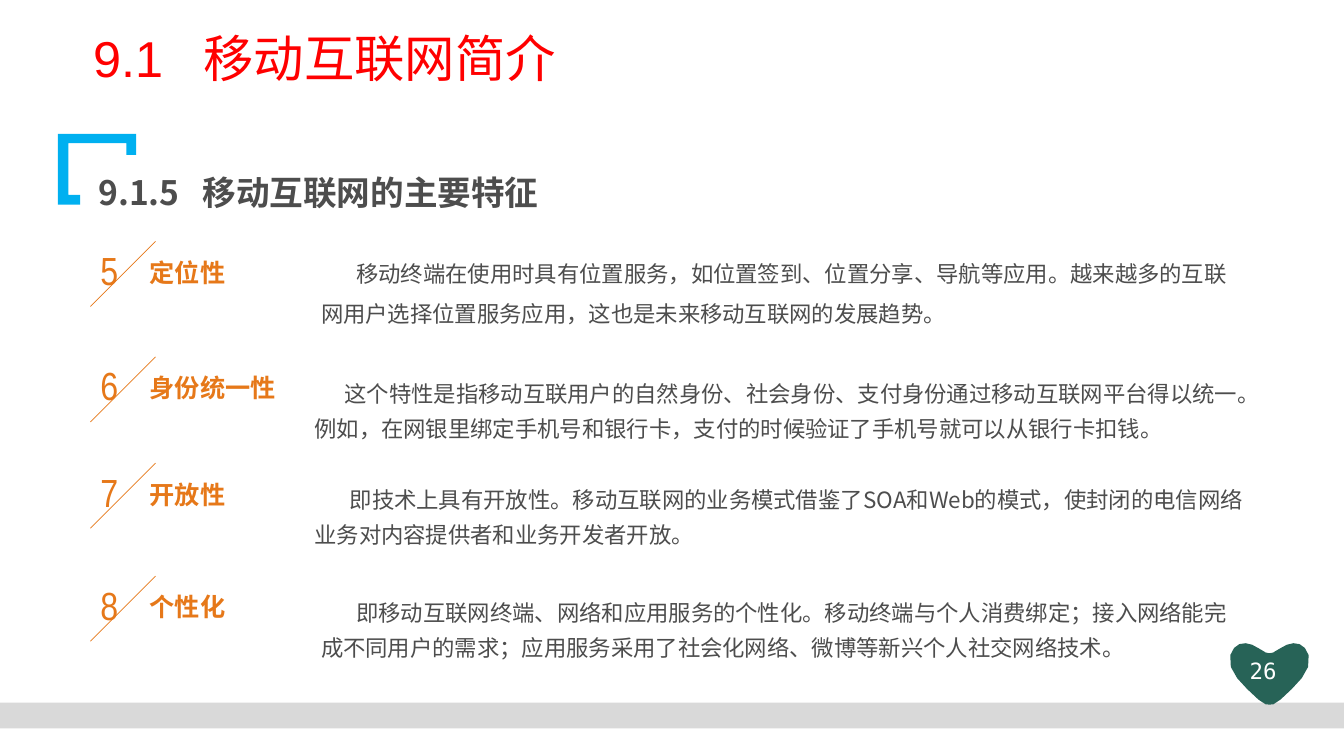
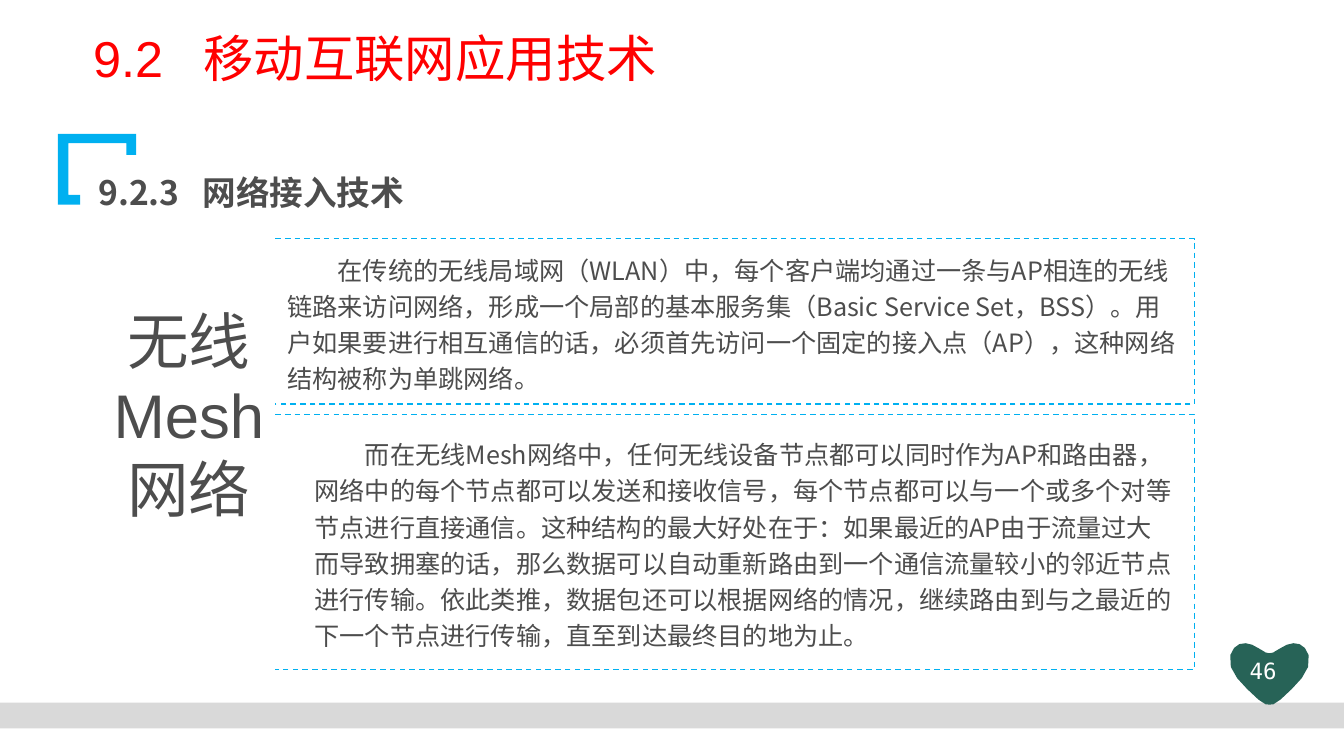
import lxml.etree
import pptx
import pptx.dml.color
import pptx.enum.dml
import pptx.enum.shapes
import pptx.enum.text
import pptx.oxml.ns
import pptx.util

Pt = pptx.util.Pt
qn = pptx.oxml.ns.qn
ALIGN = pptx.enum.text.PP_ALIGN
ANCHOR = pptx.enum.text.MSO_ANCHOR
COLORS = {"title": "FF0000", "text": "4D4D4D", "accent": "E67819", "sky": "00B0F0",
          "band": "D9D9D9", "heart": "276357", "white": "FFFFFF"}
SANS, HAN, NARROW, MONO = "Arial", "Noto Sans CJK SC", "Arial Narrow", "DejaVu Sans Mono"
SLIDE_W, SLIDE_H = 960, 540
INSETS = (7.2, 3.6, 7.2, 3.6)

BRACKET = [(0, 0), (56, 0), (56, 15), (49, 15), (49, 6.5), (7.5, 6.5),
           (7.5, 43.5), (16, 43.5), (16, 50.5), (0, 50.5)]
HEART_CURVES = [
    (2, [(0, 9.4), (2.2, 9.4), (3.6, 8.6), (4.3, 7.9)]),
    (1, [(4.3, 7.9), (4.3, 7.9), (4.3, 7.9), (7.9, 5.8)]),
    (5, [(7.9, 5.8), (15.1, 0.7), (24.5, 0), (28, 10.8)]),
    (4, [(28, 10.8), (30.9, 22.3), (18.7, 32.4), (7.9, 42.5)]),
    (1, [(7.9, 42.5), (4.7, 44.6), (4.7, 44.6), (4.7, 44.6)]),
    (2, [(4.7, 44.6), (3.6, 46), (2.2, 46.1), (0, 46.1)]),
]

FEATURES = [
    dict(number="5", name="定位性", top=172.4, left=222.2, drop=0, spacing=1.5, indent=25.2,
         text="移动终端在使用时具有位置服务，如位置签到、位置分享、导航等应用。越来越多的互联网用户选择位置服务应用，这也是未来移动互联网的发展趋势。"),
    dict(number="6", name="身份统一性", top=254.9, left=217.5, drop=7.4, spacing=1.3, indent=21.5,
         text="这个特性是指移动互联用户的自然身份、社会身份、支付身份通过移动互联网平台得以统一。例如，在网银里绑定手机号和银行卡，支付的时候验证了手机号就可以从银行卡扣钱。"),
    dict(number="7", name="开放性", top=330.8, left=217.5, drop=7.4, spacing=1.3, indent=25.2,
         text="即技术上具有开放性。移动互联网的业务模式借鉴了SOA和Web的模式，使封闭的电信网络业务对内容提供者和业务开发者开放。"),
    dict(number="8", name="个性化", top=411.5, left=222.2, drop=7.4, spacing=1.3, indent=25.2,
         text="即移动互联网终端、网络和应用服务的个性化。移动终端与个人消费绑定；接入网络能完成不同用户的需求；应用服务采用了社会化网络、微博等新兴个人社交网络技术。"),
]

PANELS = [
    dict(top=170.4, height=118.3, insets=(8.6, 3.6, 8.6, 3.6),
         text="在传统的无线局域网（WLAN）中，每个客户端均通过一条与AP相连的无线链路来访问网络，形成一个局部的基本服务集（Basic Service Set，BSS）。用户如果要进行相互通信的话，必须首先访问一个固定的接入点（AP），这种网络结构被称为单跳网络。"),
    dict(top=296, height=182.4, insets=(28, 14.4, 14.4, 14.4),
         text="而在无线Mesh网络中，任何无线设备节点都可以同时作为AP和路由器，网络中的每个节点都可以发送和接收信号，每个节点都可以与一个或多个对等节点进行直接通信。这种结构的最大好处在于：如果最近的AP由于流量过大而导致拥塞的话，那么数据可以自动重新路由到一个通信流量较小的邻近节点进行传输。依此类推，数据包还可以根据网络的情况，继续路由到与之最近的下一个节点进行传输，直至到达最终目的地为止。"),
]


def rgb(name):
    """Return the named colour."""
    return pptx.dml.color.RGBColor.from_string(COLORS[name])


def write(sp, text, size, color, font=HAN, bold=False, align=ALIGN.LEFT, spacing=1.0,
          indent=0, tab=None, anchor=ANCHOR.TOP, insets=INSETS, wrap=True):
    """Fill a shape with one styled paragraph."""
    tf = sp.text_frame
    tf.word_wrap, tf.vertical_anchor = wrap, anchor
    tf.margin_left, tf.margin_top, tf.margin_right, tf.margin_bottom = map(Pt, insets)
    p = tf.paragraphs[0]
    p.alignment, p.line_spacing = align, spacing
    pPr = p._p.get_or_add_pPr()
    if indent:
        pPr.set("marL", "0")
        pPr.set("indent", str(Pt(indent)))
    if tab:
        tabs = lxml.etree.SubElement(pPr, qn("a:tabLst"))
        lxml.etree.SubElement(tabs, qn("a:tab"), pos=str(Pt(tab)), algn="l")
    r = p.add_run()
    r.text = text
    r.font.size, r.font.bold, r.font.name = Pt(size), bold, font
    r.font.color.rgb = rgb(color)
    lxml.etree.SubElement(r._r.get_or_add_rPr(), qn("a:ea"), typeface=font)


def label(s, box, text, size, color, **style):
    """Add a text box at box (left, top, width, height)."""
    write(s.shapes.add_textbox(*map(Pt, box)), text, size, color, **style)


def fill(sp, color):
    """Give a shape a plain fill without line or shadow."""
    sp.shadow.inherit = False
    sp.fill.solid()
    sp.fill.fore_color.rgb = rgb(color)
    sp.line.fill.background()


def outline(s, left, top, points, close=True):
    """Draw a polygon or open path from points relative to left and top."""
    corners = [(Pt(left + x), Pt(top + y)) for x, y in points]
    builder = s.shapes.build_freeform(*corners[0])
    builder.add_line_segments(corners[1:], close=close)
    return builder.convert_to_shape()


def heart_points():
    """Sample the right half of the heart and mirror it."""
    right = []
    for steps, curve in HEART_CURVES:
        for i in range(steps):
            t = i / steps
            weights = ((1 - t) ** 3, 3 * t * (1 - t) ** 2, 3 * t * t * (1 - t), t ** 3)
            right.append(tuple(sum(w * c[axis] for w, c in zip(weights, curve))
                               for axis in (0, 1)))
    right.append(HEART_CURVES[-1][1][-1])
    return right + [(-x, y) for x, y in reversed(right[1:-1])]


def add_page(prs, number, title, section, heading):
    """Add a blank slide with title, heading, bracket, band and page number."""
    s = prs.slides.add_slide(prs.slide_layouts[6])
    fill(outline(s, 41.3, 95.7, BRACKET), "sky")
    band = s.shapes.add_shape(pptx.enum.shapes.MSO_SHAPE.RECTANGLE,
                              Pt(0), Pt(501.8), Pt(SLIDE_W), Pt(18.5))
    fill(band, "band")
    fill(outline(s, 906.8, 457.2, heart_points()), "heart")
    label(s, (877, 466, 50.5, 28), number, 16, "white", font=MONO, align=ALIGN.CENTER)
    label(s, (59.4, 21, 662.5, 67.5), title, 36, "title", font=SANS, spacing=0.9, tab=78.8)
    label(s, (63.2, 110.5, 455, 45), f"{section}\t{heading}", 24, "text",
          bold=True, spacing=1.3, tab=74.3)
    return s


def add_feature(s, left, right, feature):
    """Place a numbered feature between left and right."""
    top = feature["top"]
    label(s, (left, top, 29.5, 41), feature["number"], 28, "accent", font=NARROW, wrap=False)
    slash = s.shapes.add_connector(pptx.enum.shapes.MSO_CONNECTOR.STRAIGHT,
                                   Pt(left + 46.5), Pt(top), Pt(left), Pt(top + 46.5))
    slash.line.color.rgb = rgb("accent")
    slash.line.width = Pt(0.5)
    lxml.etree.SubElement(slash._element.spPr, qn("a:effectLst"))
    label(s, (left + 35.3, top + 7.7, 132, 30), feature["name"], 18, "accent", bold=True)
    label(s, (feature["left"], top + feature["drop"], right - feature["left"], 57),
          feature["text"], 16, "text", spacing=feature["spacing"], indent=feature["indent"])


def add_panel(s, left, width, panel):
    """Place a dashed panel that is open on its left side."""
    height = panel["height"]
    sp = outline(s, left, panel["top"],
                 [(0, 0), (width, 0), (width, height), (0, height)], close=False)
    sp.shadow.inherit = False
    sp.fill.background()
    sp.line.color.rgb = rgb("sky")
    sp.line.width = Pt(1)
    sp.line.dash_style = pptx.enum.dml.MSO_LINE.DASH
    write(sp, panel["text"], 18, "text", spacing=1.2, indent=36,
          anchor=ANCHOR.MIDDLE, insets=panel["insets"])


def features_slide(prs):
    """Build the slide of main features."""
    s = add_page(prs, "26", "9.1\t移动互联网简介", "9.1.5", "移动互联网的主要特征")
    for feature in FEATURES:
        add_feature(s, 64.6, 897, feature)


def mesh_slide(prs):
    """Build the slide on wireless mesh networks."""
    s = add_page(prs, "46", "9.2\t移动互联网应用技术", "9.2.3", "网络接入技术")
    for panel in PANELS:
        add_panel(s, 196.6, 656.6, panel)
    label(s, (72, 201.2, 126, 188.5), "无线Mesh网络", 44, "text", font=SANS,
          align=ALIGN.CENTER, anchor=ANCHOR.MIDDLE)


def main():
    """Build and save the presentation."""
    prs = pptx.Presentation()
    prs.slide_width, prs.slide_height = Pt(SLIDE_W), Pt(SLIDE_H)
    features_slide(prs)
    mesh_slide(prs)
    prs.save("out.pptx")


if __name__ == "__main__":
    main()
